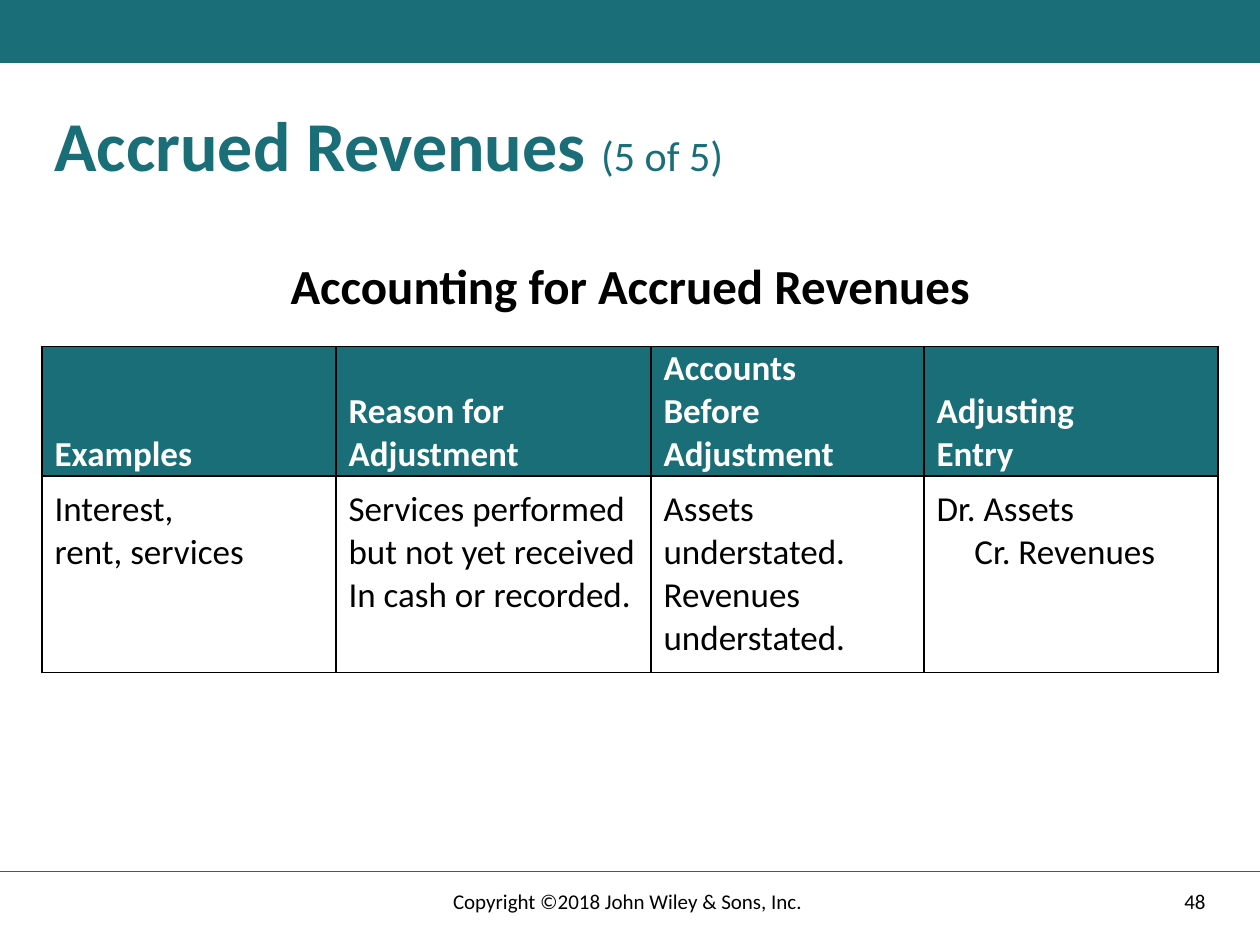
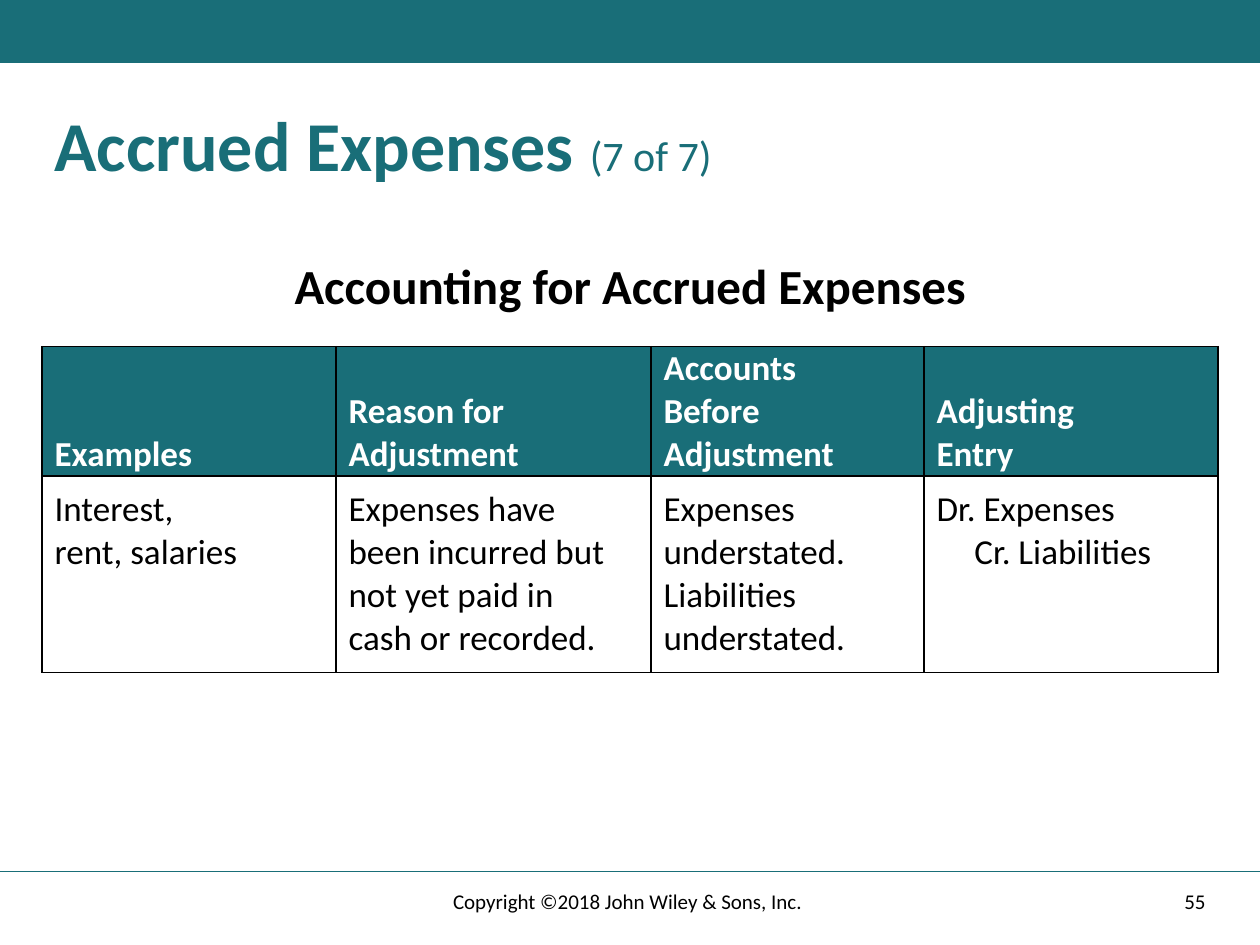
"""Build two slides that sum up accrued revenues and accrued expenses."""
from lxml import etree
from pptx import Presentation
from pptx.dml.color import RGBColor
from pptx.enum.shapes import MSO_CONNECTOR, MSO_SHAPE
from pptx.enum.text import MSO_ANCHOR, MSO_AUTO_SIZE, PP_ALIGN
from pptx.oxml.ns import qn
from pptx.util import Pt

TEAL = RGBColor(0x19, 0x6E, 0x78)
BLACK = RGBColor(0, 0, 0)
WHITE = RGBColor(0xFF, 0xFF, 0xFF)
FONT = "Calibri"
LEFT, CENTER, RIGHT = PP_ALIGN.LEFT, PP_ALIGN.CENTER, PP_ALIGN.RIGHT
TOP, MIDDLE, BOTTOM = MSO_ANCHOR.TOP, MSO_ANCHOR.MIDDLE, MSO_ANCHOR.BOTTOM
RECT = MSO_SHAPE.RECTANGLE
STRAIGHT = MSO_CONNECTOR.STRAIGHT
FIXED = MSO_AUTO_SIZE.NONE

WIDTH, HEIGHT = 720, 540
MARGIN = 24
RULE = 498
COLS = (168, 180, 156, 168)
ROWS = (74, 112)
HEADS = ("Examples", "Reason for\nAdjustment",
         "Accounts\nBefore\nAdjustment", "Adjusting\nEntry")
COPY = "Copyright ©2018 John Wiley & Sons, Inc. "

SLIDES = (
    ("Accrued Revenues", "(5 of 5)", "48", (
        "Interest,\nrent, services",
        "Services performed\nbut not yet received\nIn cash or recorded.",
        "Assets\nunderstated.\nRevenues\nunderstated.",
        "Dr. Assets\nCr. Revenues")),
    ("Accrued Expenses", "(7 of 7)", "55", (
        "Interest,\nrent, salaries",
        "Expenses have\nbeen incurred but\nnot yet paid in\ncash or recorded.",
        "Expenses\nunderstated.\nLiabilities\nunderstated.",
        "Dr. Expenses\nCr. Liabilities")),
)


def style(run, size, color, bold):
    """Set the font of one run."""
    font = run.font
    font.name, font.size, font.bold = FONT, Pt(size), bold
    font.color.rgb = color


def write(frame, text, size=20, color=BLACK, bold=False, align=LEFT, space=None):
    """Fill a text frame, one paragraph for each line of text."""
    frame.word_wrap = True
    for i, line in enumerate(text.split("\n")):
        para = frame.add_paragraph() if i else frame.paragraphs[0]
        para.alignment = align
        para.line_spacing = space
        run = para.add_run()
        run.text = line
        style(run, size, color, bold)


def place(shape, left, top, width, height):
    """Move and size a shape, in points."""
    shape.left, shape.top = Pt(left), Pt(top)
    shape.width, shape.height = Pt(width), Pt(height)


def add_frame(slide):
    """Draw the top band and the rule above the footer."""
    band = slide.shapes.add_shape(RECT, 0, 0, Pt(WIDTH), Pt(36))
    band.shadow.inherit = False
    band.fill.solid()
    band.fill.fore_color.rgb = TEAL
    band.line.fill.background()
    rule = slide.shapes.add_connector(STRAIGHT, 0, Pt(RULE), Pt(WIDTH), Pt(RULE))
    rule.line.color.rgb = TEAL
    rule.line.width = Pt(1)
    etree.SubElement(rule.element.spPr, qn("a:effectLst"))


def add_title(slide, name, part):
    """Fill the title with a name and its part number."""
    title = slide.shapes.title
    place(title, MARGIN, 60, WIDTH - 2 * MARGIN, 60)
    frame = title.text_frame
    frame.vertical_anchor, frame.auto_size = TOP, FIXED
    write(frame, name + " ", size=40, color=TEAL, bold=True, space=0.9)
    run = frame.paragraphs[0].add_run()
    run.text = part
    style(run, 24, TEAL, False)


def add_head(slide, text):
    """Fill the body placeholder with the heading of the table."""
    body = slide.placeholders[1]
    place(body, 151, 146, 418, 38)
    frame = body.text_frame
    frame.auto_size = FIXED
    write(frame, text, size=28, bold=True, align=CENTER, space=0.9)
    para = frame.paragraphs[0]
    para.space_before = Pt(0)
    props = para._p.get_or_add_pPr()
    props.set("marL", "0")
    props.set("indent", "0")
    etree.SubElement(props, qn("a:buNone"))


def edge(cell):
    """Put a thin black border on all sides of a cell."""
    props = cell._tc.get_or_add_tcPr()
    for side in ("a:lnL", "a:lnR", "a:lnT", "a:lnB"):
        line = etree.SubElement(props, qn(side), w=str(Pt(1)))
        fill = etree.SubElement(line, qn("a:solidFill"))
        etree.SubElement(fill, qn("a:srgbClr"), val=str(BLACK))


def add_cell(cell, text, fill, pad, anchor, **form):
    """Format and fill one table cell."""
    edge(cell)
    cell.fill.solid()
    cell.fill.fore_color.rgb = fill
    cell.margin_left = cell.margin_right = Pt(7.2)
    cell.margin_top = cell.margin_bottom = Pt(pad)
    cell.vertical_anchor = anchor
    write(cell.text_frame, text, **form)


def add_grid(slide, texts):
    """Add the table with its head row and one row of texts."""
    grid = slide.shapes.add_table(2, len(COLS), Pt(MARGIN), Pt(198),
                                  Pt(sum(COLS)), Pt(sum(ROWS))).table
    for row, size in zip(grid.rows, ROWS):
        row.height = Pt(size)
    for i, size in enumerate(COLS):
        grid.columns[i].width = Pt(size)
        add_cell(grid.cell(0, i), HEADS[i], TEAL, 0, BOTTOM,
                 color=WHITE, bold=True)
        add_cell(grid.cell(1, i), texts[i], WHITE, 7.2, TOP)
    credit = grid.cell(1, len(COLS) - 1).text_frame.paragraphs[1]
    credit._p.get_or_add_pPr().set("indent", str(Pt(21.6)))


def add_note(slide, text, left, width, align):
    """Add one footer text."""
    box = slide.shapes.add_textbox(Pt(left), Pt(500.5), Pt(width), Pt(29))
    box.text_frame.vertical_anchor = MIDDLE
    write(box.text_frame, text, size=12, align=align)


def main():
    """Build and save the deck."""
    deck = Presentation()
    deck.slide_width, deck.slide_height = Pt(WIDTH), Pt(HEIGHT)
    for name, part, page, texts in SLIDES:
        slide = deck.slides.add_slide(deck.slide_layouts[1])
        add_frame(slide)
        add_title(slide, name, part)
        add_head(slide, "Accounting for " + name)
        add_grid(slide, texts)
        add_note(slide, page, 508, 188, RIGHT)
        add_note(slide, COPY, 238, 244, CENTER)
    deck.save("out.pptx")


if __name__ == "__main__":
    main()
